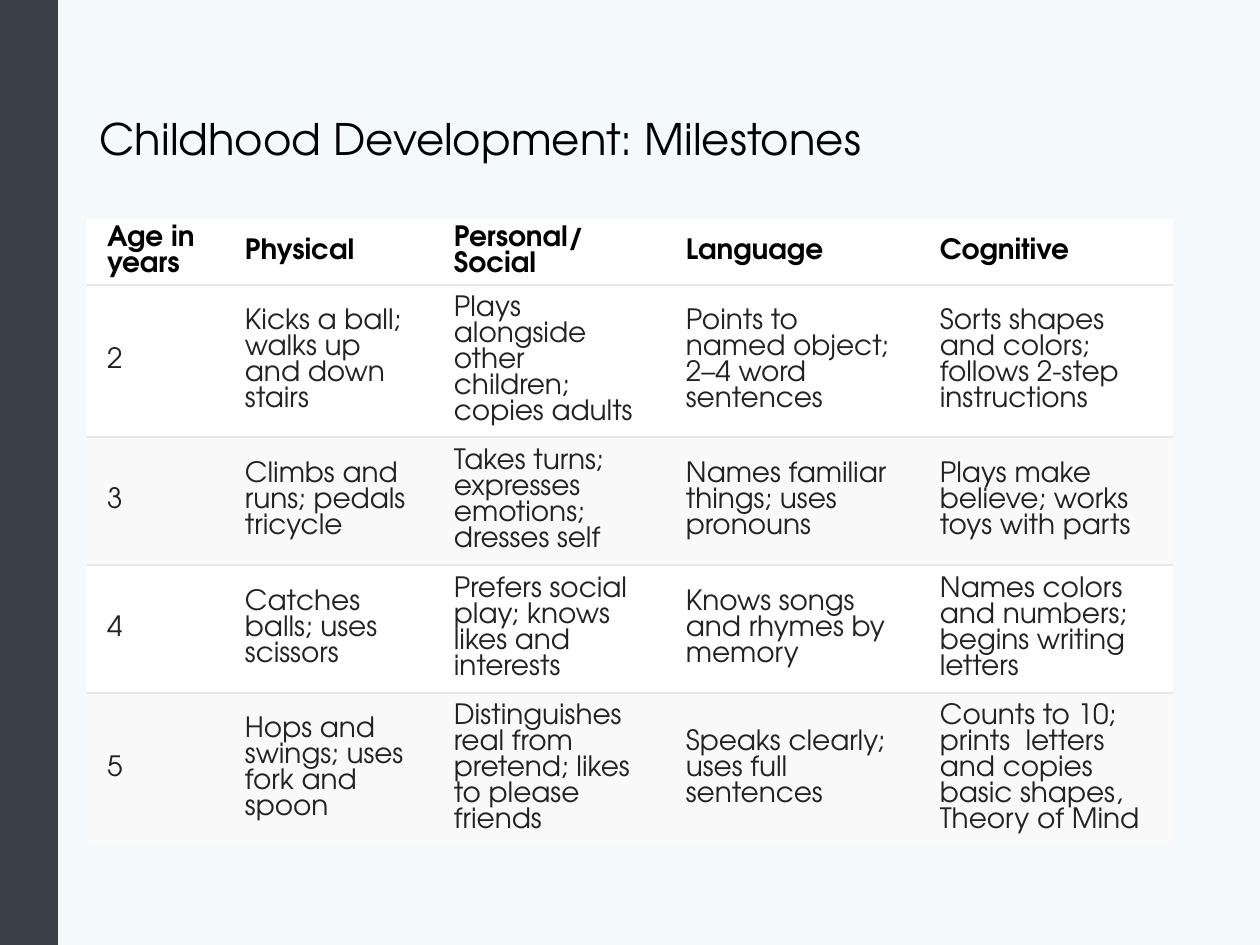
from lxml import etree
from pptx import Presentation
from pptx import util as u
from pptx.dml.color import RGBColor
from pptx.enum import shapes, text
from pptx.oxml.ns import qn

PX = u.Inches(1) // 126
FONT = "TeX Gyre Adventor"
NO_STYLE = "{2D5ABB26-0587-4C30-8999-92F81FD0307C}"
COLORS = {
    "background": "F4F9FC",
    "sidebar": "3A4047",
    "heading": "000000",
    "body": "222222",
    "plain_row": "FFFFFF",
    "shaded_row": "F9F9F9",
    "rule": "E7E7E7",
}
COLUMN_WIDTHS = [138, 209, 232, 254, 253]
ROW_HEIGHTS = [66, 152, 128, 128, 152]
MILESTONES = [
    ["Age in years", "Physical", "Personal/\nSocial", "Language", "Cognitive"],
    ["2", "Kicks a ball; walks up and down stairs",
     "Plays alongside other children; copies adults",
     "Points to named object; 2–4 word sentences",
     "Sorts shapes and colors; follows 2-step instructions"],
    ["3", "Climbs and runs; pedals tricycle",
     "Takes turns; expresses emotions; dresses self",
     "Names familiar things; uses pronouns",
     "Plays make believe; works toys with parts"],
    ["4", "Catches balls; uses scissors",
     "Prefers social play; knows likes and interests",
     "Knows songs and rhymes by memory",
     "Names colors and numbers; begins writing letters"],
    ["5", "Hops and swings; uses fork and spoon",
     "Distinguishes real from pretend; likes to please friends",
     "Speaks clearly; uses full sentences",
     "Counts to 10; prints  letters and copies basic shapes, Theory of Mind"],
]


def px(*lengths):
    return [length * PX for length in lengths]


def paint(fill, color):
    fill.solid()
    fill.fore_color.rgb = RGBColor.from_string(COLORS[color])


def set_font(paragraph, size, color, bold=False):
    font = paragraph.font
    font.name, font.size, font.bold = FONT, u.Pt(size), bold
    font.color.rgb = RGBColor.from_string(COLORS[color])


def add_sidebar(slide):
    sidebar = slide.shapes.add_shape(shapes.MSO_SHAPE.RECTANGLE, *px(0, 0, 58, 945))
    sidebar.shadow.inherit = False
    paint(sidebar.fill, "sidebar")
    sidebar.line.fill.background()


def set_title(slide, wording):
    title = slide.shapes.title
    title.left, title.top, title.width, title.height = px(87, 50, 1086, 183)
    frame = title.text_frame
    frame.text = wording
    frame.word_wrap = True
    frame.auto_size = text.MSO_AUTO_SIZE.NONE
    frame.vertical_anchor = text.MSO_ANCHOR.MIDDLE
    heading = frame.paragraphs[0]
    heading.alignment = text.PP_ALIGN.LEFT
    heading.line_spacing = 0.9
    set_font(heading, 24.8, "heading")


def rule_below(cell):
    border = etree.Element(qn("a:lnB"), w=str(u.Pt(0.75)))
    fill = etree.SubElement(border, qn("a:solidFill"))
    etree.SubElement(fill, qn("a:srgbClr"), val=COLORS["rule"])
    cell._tc.get_or_add_tcPr().insert(0, border)


def fill_cell(cell, wording, row):
    is_header = row == 0
    cell.text = wording
    cell.vertical_anchor = text.MSO_ANCHOR.MIDDLE
    cell.margin_left = cell.margin_right = 20 * PX
    cell.margin_top = cell.margin_bottom = (7 if is_header else 5) * PX
    for paragraph in cell.text_frame.paragraphs:
        set_font(paragraph, 16, "heading" if is_header else "body", is_header)
    shaded = row > 0 and row % 2 == 0
    paint(cell.fill, "shaded_row" if shaded else "plain_row")
    if row < len(MILESTONES) - 1:
        rule_below(cell)


def add_milestones(slide):
    frame = slide.shapes.add_table(
        len(MILESTONES), len(COLUMN_WIDTHS),
        *px(87, 219, sum(COLUMN_WIDTHS), sum(ROW_HEIGHTS)))
    table = frame.table
    table._tbl.tblPr.find(qn("a:tableStyleId")).text = NO_STYLE
    table.horz_banding = False
    for column, width in zip(table.columns, COLUMN_WIDTHS):
        column.width = width * PX
    for row, height in zip(table.rows, ROW_HEIGHTS):
        row.height = height * PX
    for r, entries in enumerate(MILESTONES):
        for c, wording in enumerate(entries):
            fill_cell(table.cell(r, c), wording, r)


def main():
    deck = Presentation()
    deck.slide_width, deck.slide_height = px(1260, 945)
    slide = deck.slides.add_slide(deck.slide_layouts[5])  # title only
    paint(slide.background.fill, "background")
    add_sidebar(slide)
    set_title(slide, "Childhood Development: Milestones")
    add_milestones(slide)
    deck.save("out.pptx")


if __name__ == "__main__":
    main()
